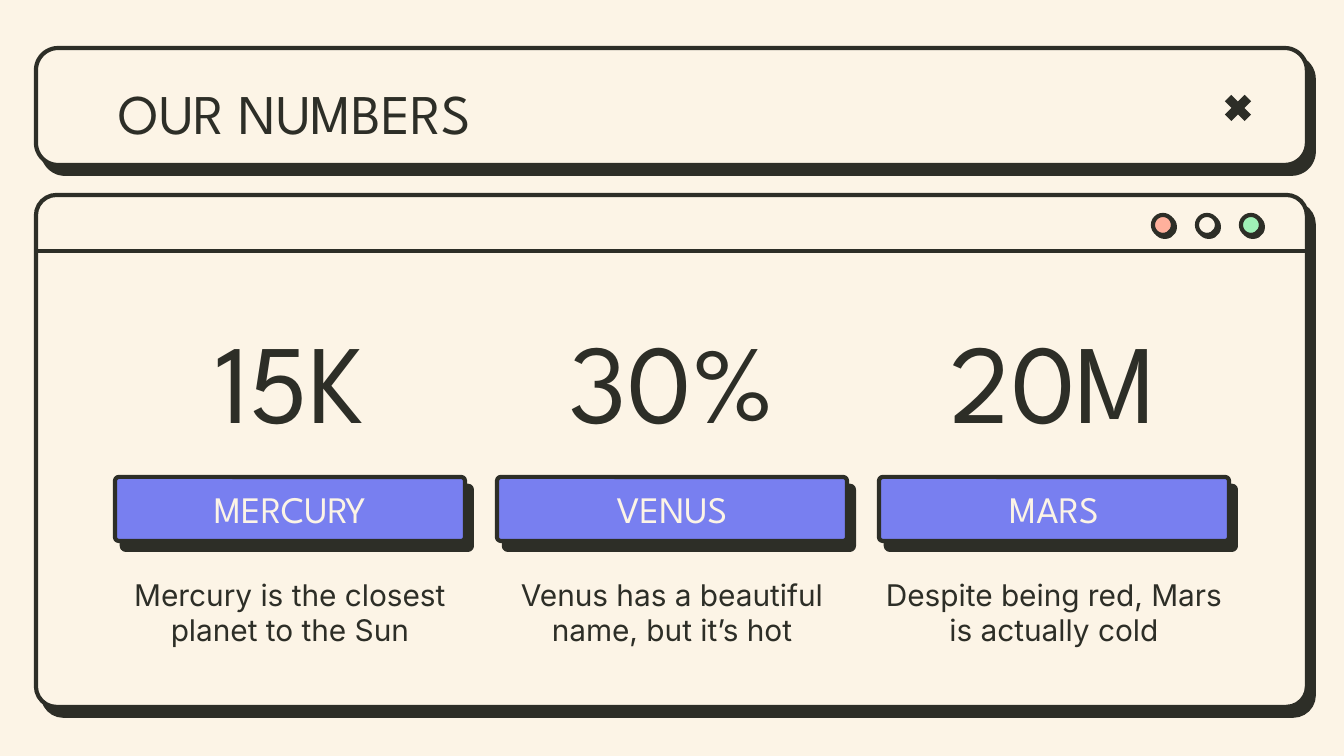
from lxml.etree import SubElement
from pptx import Presentation
from pptx.dml.color import RGBColor
from pptx.enum.shapes import MSO_CONNECTOR, MSO_SHAPE as Kind
from pptx.enum.text import MSO_ANCHOR as Anchor, PP_ALIGN as Align
from pptx.oxml.ns import qn
from pptx.util import Emu, Pt

# Content
TITLE = "OUR NUMBERS"
STATS = [
    ("15K", "MERCURY", "Mercury is the closest planet to the Sun"),
    ("30%", "VENUS", "Venus has a beautiful name, but it’s hot"),
    ("20M", "MARS", "Despite being red, Mars is actually cold"),
]

INK = RGBColor(0x2D, 0x2E, 0x27)
CREAM = RGBColor(0xFC, 0xF4, 0xE6)
BLUE = RGBColor(0x78, 0x7F, 0xF0)
CORAL = RGBColor(0xFF, 0xB0, 0x9C)
GREEN = RGBColor(0x9F, 0xF1, 0xB7)
HEAD, BODY = "League Spartan", "Inter"

# Layout in px
WIDE, HIGH = 1344, 756
LEFT, SPAN = 36, 1271
MID, STEP = 290, 382
DOT, GAP = 1153, 44


def px(n):
    return Emu(round(n * 914400 / 134.4))


deck = Presentation()
deck.slide_width, deck.slide_height = px(WIDE), px(HIGH)
slide = deck.slides.add_slide(deck.slide_layouts[6])
slide.background.fill.solid()
slide.background.fill.fore_color.rgb = CREAM
shapes = slide.shapes


def shape(kind, box, fill, adj=None, drop=0, angle=52):
    """Add a filled shape; a drop in points gives it an outline and hard shadow."""
    item = shapes.add_shape(kind, *map(px, box))
    item.fill.solid()
    item.fill.fore_color.rgb = fill
    item.shadow.inherit = False
    if adj is not None:
        item.adjustments[0] = adj
    if not drop:
        item.line.fill.background()
        return
    item.line.color.rgb = INK
    item.line.width = Pt(2.25)
    effects = item._element.spPr.find(qn("a:effectLst"))
    cast = SubElement(effects, qn("a:outerShdw"), dist=str(Pt(drop)),
                      dir=str(angle * 60000), algn="bl", rotWithShape="0")
    SubElement(cast, qn("a:srgbClr"), val=str(INK))


def text(words, box, size, font=HEAD, color=INK, align=Align.CENTER,
         anchor=Anchor.MIDDLE):
    frame = shapes.add_textbox(*map(px, box)).text_frame
    frame.word_wrap = True
    frame.vertical_anchor = anchor
    frame.margin_left = frame.margin_right = px(13)
    frame.margin_top = frame.margin_bottom = px(13)
    para = frame.paragraphs[0]
    para.alignment = align
    run = para.add_run()
    run.text = words
    run.font.size = Pt(size)
    run.font.name = font
    run.font.color.rgb = color


# Window with its three buttons
shape(Kind.ROUNDED_RECTANGLE, (LEFT, 195, SPAN, 512), CREAM, 0.04, 6)
for i, color in enumerate((CORAL, CREAM, GREEN)):
    shape(Kind.OVAL, (DOT + i * GAP, 215, 20, 20), color, drop=1.5, angle=45)
rule = shapes.add_connector(MSO_CONNECTOR.STRAIGHT, px(LEFT), px(251),
                            px(LEFT + SPAN), px(251))
rule.line.color.rgb = INK
rule.line.width = Pt(2.25)
SubElement(rule._element.spPr, qn("a:effectLst"))

# Title bar with its close mark
shape(Kind.ROUNDED_RECTANGLE, (LEFT, 48, SPAN, 117), CREAM, 0.19, 6)
shape(Kind.MATH_MULTIPLY, (1219, 89, 38, 38), INK, 0.24)
text(TITLE, (106, 66, 1133, 85), 30, align=Align.LEFT, anchor=Anchor.TOP)

# One column for each number
for i, (figure, name, note) in enumerate(STATS):
    mid = MID + i * STEP
    text(figure, (mid - 168, 336, 336, 85), 60)
    shape(Kind.ROUNDED_RECTANGLE, (mid - 175, 477, 350, 64), BLUE, 0.06, 6)
    text(name, (mid - 150, 477, 300, 64), 20, color=CREAM)
    text(note, (mid - 184, 576, 368, 85), 16, BODY, anchor=Anchor.BOTTOM)

deck.save("out.pptx")
